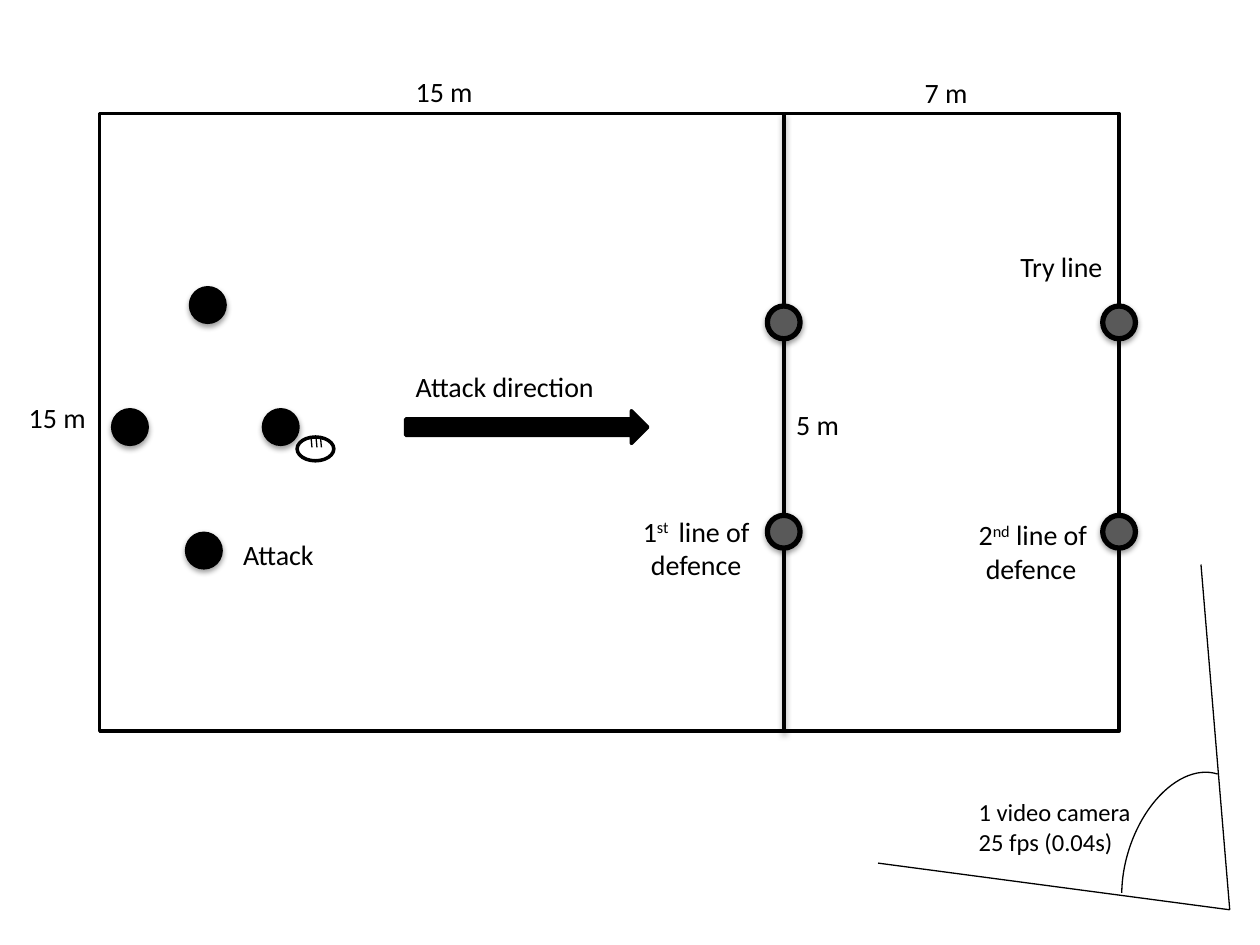
from itertools import product

from lxml.etree import SubElement
from pptx import Presentation
from pptx.dml.color import RGBColor
from pptx.enum.shapes import MSO_CONNECTOR, MSO_SHAPE
from pptx.enum.text import PP_ALIGN
from pptx.oxml.ns import qn
from pptx.util import Cm, Pt

COLOURS = {"ink": "000000", "defender": "595959", "paper": "FFFFFF"}


def colour(name):
    return RGBColor.from_string(COLOURS[name])


def write(frame, text, size=16, align=PP_ALIGN.LEFT, font="Calibri", ink="ink"):
    """Fill a frame; parts between ^ marks are superscript."""
    for row, line in enumerate(text.split("\n")):
        paragraph = frame.add_paragraph() if row else frame.paragraphs[0]
        paragraph.alignment = align
        for index, part in enumerate(line.split("^")):
            if not part:
                continue
            run = paragraph.add_run()
            run.text = part
            run.font.name, run.font.size = font, Pt(size)
            run.font.color.rgb = colour(ink)
            if index % 2:
                run._r.get_or_add_rPr().set("baseline", "30000")


class Pitch:
    """Holds the slide and the drawing style."""
    dot = 0.66

    def __init__(self, slide):
        self.shapes = slide.shapes

    def finish(self, item, weight, shadow):
        item.line.color.rgb = colour("ink")
        item.line.width = Pt(weight)
        effects = SubElement(item._element.spPr, qn("a:effectLst"))
        if shadow:
            outer = SubElement(effects, qn("a:outerShdw"), blurRad="40000",
                               dist="20000", dir="5400000", rotWithShape="0")
            black = SubElement(outer, qn("a:srgbClr"), val=COLOURS["ink"])
            SubElement(black, qn("a:alpha"), val="38000")

    def shape(self, kind, x, y, width, height, fill=None, weight=2, shadow=False):
        item = self.shapes.add_shape(kind, Cm(x), Cm(y), Cm(width), Cm(height))
        if fill:
            item.fill.solid()
            item.fill.fore_color.rgb = colour(fill)
        else:
            item.fill.background()
        self.finish(item, weight, shadow)
        return item

    def line(self, start, end, weight=0.75, shadow=False):
        item = self.shapes.add_connector(
            MSO_CONNECTOR.STRAIGHT, *(Cm(value) for value in (*start, *end)))
        self.finish(item, weight, shadow)

    def player(self, x, y, fill):
        self.shape(MSO_SHAPE.OVAL, x - self.dot / 2, y - self.dot / 2,
                   self.dot, self.dot, fill, weight=3, shadow=True)

    def label(self, text, x, y, width, height=0.94, **style):
        box = self.shapes.add_textbox(Cm(x), Cm(y), Cm(width), Cm(height))
        box.text_frame.word_wrap = True
        write(box.text_frame, text, **style)


deck = Presentation()
deck.slide_width, deck.slide_height = Cm(25.4), Cm(19.05)
pitch = Pitch(deck.slides.add_slide(deck.slide_layouts[6]))

# Field and first defence line
pitch.shape(MSO_SHAPE.RECTANGLE, 2.01, 2.29, 20.55, 12.45, "paper")
pitch.line((15.8, 2.29), (15.8, 14.76), weight=2, shadow=True)

# Players
for x, y in product((15.8, 22.56), (6.5, 10.72)):
    pitch.player(x, y, "defender")
for x, y in ((5.66, 8.61), (2.62, 8.61), (4.11, 11.1), (4.19, 6.15)):
    pitch.player(x, y, "ink")

# Direction of attack
pitch.shape(MSO_SHAPE.RIGHT_ARROW, 8.18, 8.28, 4.88, 0.66, "ink")

# Camera and its field of view
camera = (24.79, 18.34)
for edge in ((24.21, 11.38), (17.7, 17.4)):
    pitch.line(edge, camera)
view_angle = pitch.shape(MSO_SHAPE.ARC, 21.95, 16.26, 3.99, 2.49, weight=0.75)
view_angle.adjustments[0] = 139.19
view_angle.adjustments[1] = 0
view_angle.rotation = 287.6
pitch.label("1 video camera 25 fps (0.04s)", 19.48, 15.95, 3.94, 1.45, size=14)

# Ball with stitches
pitch.shape(MSO_SHAPE.OVAL, 5.99, 8.81, 0.74, 0.48, "paper")
for x in (6.27, 6.37, 6.46):
    pitch.line((x, 8.81), (x + 0.02, 9.02))

# Labels
for text, x, y, width in (
    ("Attack direction", 8.13, 7.32, 5.49),
    ("7 m", 18.39, 1.4, 2.18),
    ("15 m", 8.13, 1.37, 2.18),
    ("15 m", 0.33, 7.95, 2.18),
    ("5 m", 15.8, 8.1, 2.18),
    ("Attack", 4.65, 10.72, 3.63),
    ("Try line", 20.32, 4.9, 3.63),
):
    pitch.label(text, x, y, width)
for text, x, y in (("1^st ^ line of\ndefence", 12.22, 10.24),
                   ("^ ^2^nd^ line of\ndefence", 18.97, 10.31)):
    pitch.label(text, x, y, 3.63, 1.63, align=PP_ALIGN.CENTER)

deck.save("out.pptx")
